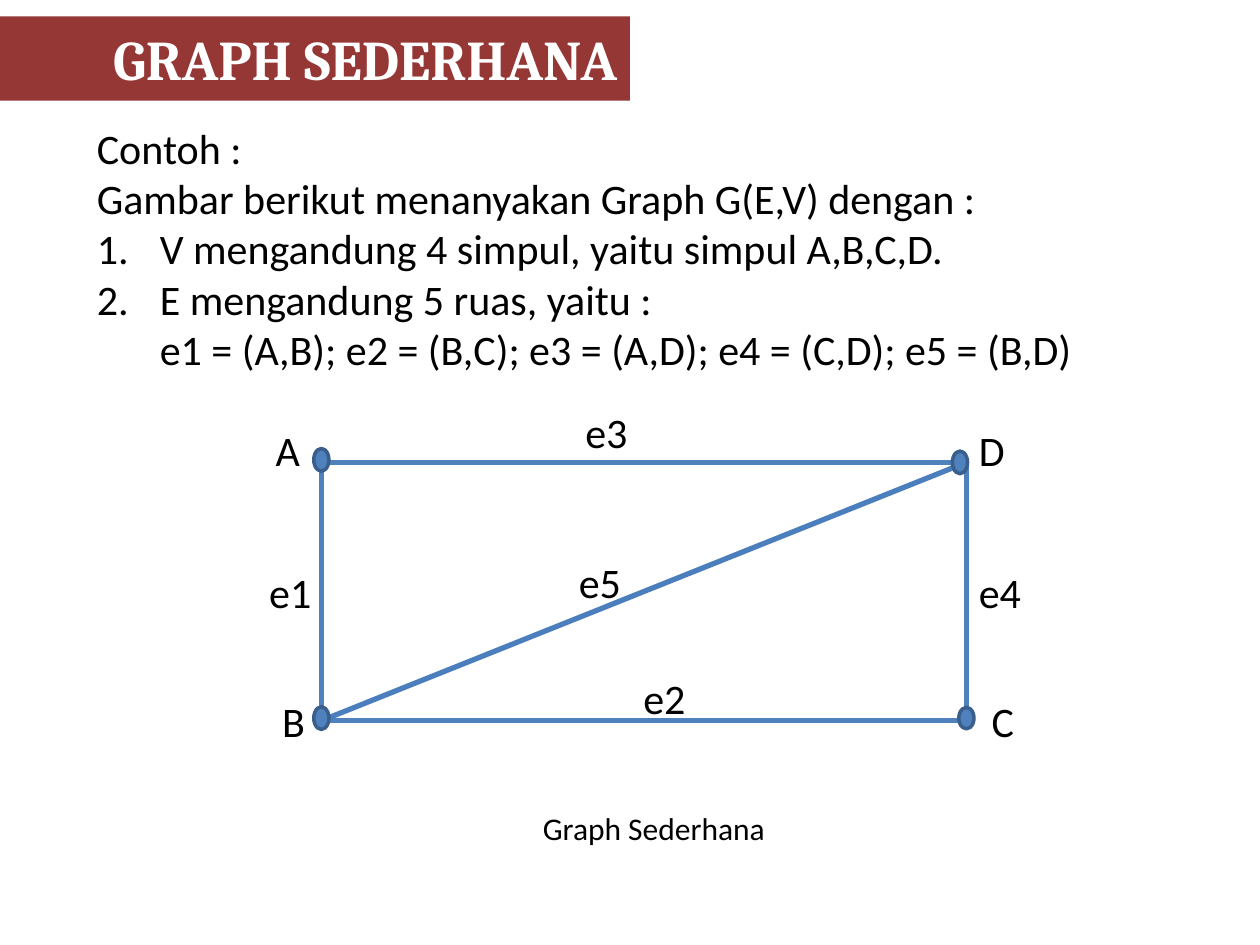
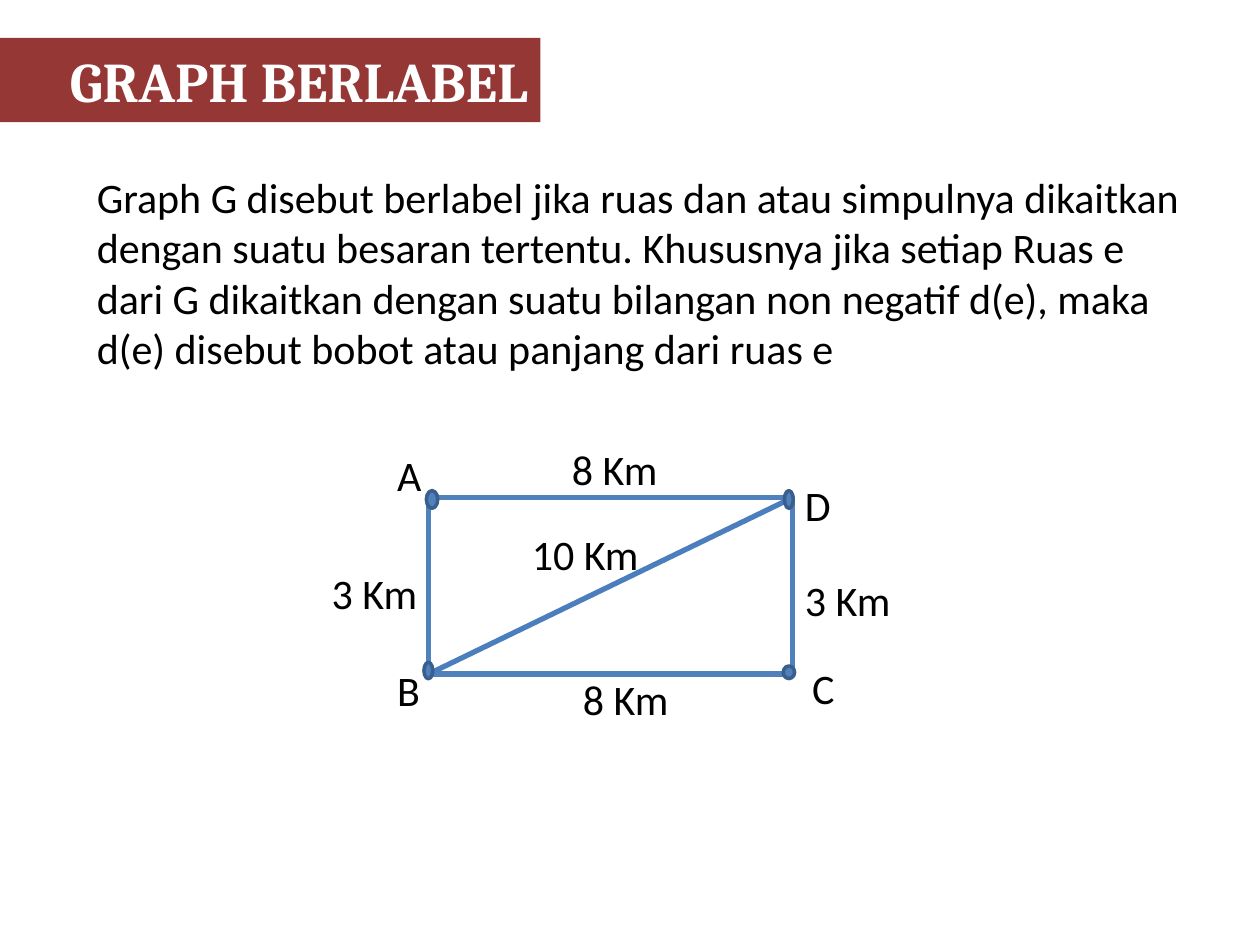
from dataclasses import dataclass

from lxml import etree
from pptx import Presentation
from pptx.dml.color import RGBColor
from pptx.enum.shapes import MSO_CONNECTOR, MSO_SHAPE
from pptx.enum.text import MSO_ANCHOR, MSO_AUTO_SIZE, PP_ALIGN
from pptx.oxml.ns import qn
from pptx.util import Inches, Pt

RECTANGLE = MSO_SHAPE.RECTANGLE
OVAL = MSO_SHAPE.OVAL
STRAIGHT = MSO_CONNECTOR.STRAIGHT
MIDDLE = MSO_ANCHOR.MIDDLE
LEFT, RIGHT = PP_ALIGN.LEFT, PP_ALIGN.RIGHT
FIT_SHAPE = MSO_AUTO_SIZE.SHAPE_TO_FIT_TEXT

WHITE, BLACK, MAROON = "FFFFFF", "000000", "953735"
BLUE, DIAGONAL_BLUE, DOT_EDGE = "4F81BD", "4B7EBC", "3A5F8C"
BODY_FONT, TITLE_FONT = "Calibri", "Cambria"
BODY_SIZE, CAPTION_SIZE, TITLE_SIZE = 24, 18, 32
BAND_LEFT, BAND_HEIGHT = -0.75, 0.67
BODY_LEFT = 0.67
LABEL_HEIGHT = 0.5
LABEL_WIDTHS = {1: 0.4, 2: 0.54, 4: 0.89, 5: 1.06}
LIST_INDENT = 0.5


@dataclass
class Box:
    left: float
    top: float
    width: float
    height: float

    def point(self, across, down):
        return self.left + across * self.width, self.top + down * self.height

    def emu(self):
        return [Inches(v) for v in (self.left, self.top, self.width, self.height)]


def color(hex_code):
    return RGBColor.from_string(hex_code)


def add_run(paragraph, text, size=BODY_SIZE, font=BODY_FONT, ink=BLACK, bold=False):
    run = paragraph.add_run()
    run.text = text
    run.font.size = Pt(size)
    run.font.name = font
    run.font.bold = bold
    run.font.color.rgb = color(ink)


def add_figure(shapes, kind, box, fill, edge=None, edge_width=0):
    figure = shapes.add_shape(kind, *box.emu())
    figure.shadow.inherit = False
    figure.fill.solid()
    figure.fill.fore_color.rgb = color(fill)
    if edge:
        figure.line.color.rgb = color(edge)
        figure.line.width = Pt(edge_width)
    else:
        figure.line.fill.background()
    return figure


def add_text_frame(shapes, box, wrap):
    frame = shapes.add_textbox(*box.emu()).text_frame
    frame.word_wrap = wrap
    frame.auto_size = FIT_SHAPE
    return frame


def add_label(shapes, box, text, size=BODY_SIZE):
    frame = add_text_frame(shapes, box, False)
    add_run(frame.paragraphs[0], text, size)


def title_band(slide, text, right, top):
    box = Box(BAND_LEFT, top, right - BAND_LEFT, BAND_HEIGHT)
    frame = add_figure(slide.shapes, RECTANGLE, box, MAROON).text_frame
    frame.vertical_anchor = MIDDLE
    frame.paragraphs[0].alignment = RIGHT
    add_run(frame.paragraphs[0], text, TITLE_SIZE, TITLE_FONT, WHITE, True)


def indent(paragraph, numbered):
    properties = paragraph._p.get_or_add_pPr()
    properties.set("marL", str(Inches(LIST_INDENT)))
    if numbered:
        properties.set("indent", str(-Inches(LIST_INDENT)))
        etree.SubElement(properties, qn("a:buAutoNum"), type="arabicPeriod")


def body_text(slide, box, lines):
    frame = add_text_frame(slide.shapes, box, True)
    for index, (style, text) in enumerate(lines):
        paragraph = frame.add_paragraph() if index else frame.paragraphs[0]
        paragraph.alignment = LEFT
        if style != "plain":
            indent(paragraph, style == "numbered")
        add_run(paragraph, text)


def graph(slide, box, labels, vertices):
    shapes = slide.shapes.add_group_shape().shapes
    add_figure(shapes, RECTANGLE, box, WHITE, BLUE, 3)
    ends = (*box.point(0, 1), *box.point(1, 0))
    diagonal = shapes.add_connector(STRAIGHT, *map(Inches, ends))
    diagonal.line.color.rgb = color(DIAGONAL_BLUE)
    diagonal.line.width = Pt(3)
    etree.SubElement(diagonal._element.spPr, qn("a:effectLst"))
    for text, across, down in labels:
        place = Box(*box.point(across, down), LABEL_WIDTHS[len(text)], LABEL_HEIGHT)
        add_label(shapes, place, text)
    for across, down, width, height in vertices:
        x, y = box.point(across, down)
        dot = Box(x - width / 2, y - height / 2, width, height)
        add_figure(shapes, OVAL, dot, BLUE, DOT_EDGE, 2)


def simple_graph_slide(slide):
    body_text(slide, Box(BODY_LEFT, 0.92, 8.88, 2.12), [
        ("plain", "Contoh : "),
        ("plain", "Gambar berikut menanyakan Graph G(E,V) dengan : "),
        ("numbered", "V mengandung 4 simpul, yaitu simpul A,B,C,D. "),
        ("numbered", "E mengandung 5 ruas, yaitu : "),
        ("indented", "e1 = (A,B); e2 = (B,C); e3 = (A,D); e4 = (C,D); e5 = (B,D)"),
    ])
    graph(
        slide,
        Box(2.55, 3.67, 5.12, 2.05),
        [("A", -0.09, -0.17), ("B", -0.08, 0.88), ("D", 1, -0.17), ("C", 1.02, 0.88),
         ("e1", -0.1, 0.38), ("e2", 0.48, 0.79), ("e3", 0.39, -0.24),
         ("e4", 1, 0.38), ("e5", 0.38, 0.34)],
        [(0, -0.01, 0.12, 0.18), (0, 0.99, 0.12, 0.18),
         (0.99, 0, 0.12, 0.18), (1, 0.99, 0.12, 0.17)],
    )
    add_label(slide.shapes, Box(4.21, 6.37, 1.99, 0.4), "Graph Sederhana", CAPTION_SIZE)
    title_band(slide, "GRAPH SEDERHANA", 5, 0.13)


def labelled_graph_slide(slide):
    title_band(slide, "GRAPH BERLABEL", 4.29, 0.3)
    body_text(slide, Box(BODY_LEFT, 1.31, 8.82, 1.72), [
        ("plain", "Graph G disebut berlabel jika ruas dan atau simpulnya dikaitkan "
                  "dengan suatu besaran tertentu. Khususnya jika setiap Ruas e dari G "
                  "dikaitkan dengan suatu bilangan non negatif d(e), maka d(e) disebut "
                  "bobot atau panjang dari ruas e"),
    ])
    graph(
        slide,
        Box(3.4, 3.95, 2.89, 1.4),
        [("A", -0.12, -0.31), ("B", -0.12, 0.91), ("D", 1, -0.14), ("C", 1.02, 0.9),
         ("3 Km", -0.3, 0.36), ("8 Km", 0.39, 0.96), ("8 Km", 0.36, -0.34),
         ("3 Km", 1, 0.4), ("10 Km", 0.25, 0.14)],
        [(0.01, 0.01, 0.09, 0.14), (0, 0.98, 0.07, 0.13),
         (0.99, 0.01, 0.07, 0.14), (0.99, 0.99, 0.09, 0.1)],
    )


deck = Presentation()
deck.slide_width, deck.slide_height = Inches(10), Inches(7.5)
blank = deck.slide_layouts[6]
for build in (simple_graph_slide, labelled_graph_slide):
    build(deck.slides.add_slide(blank))
deck.save("out.pptx")
